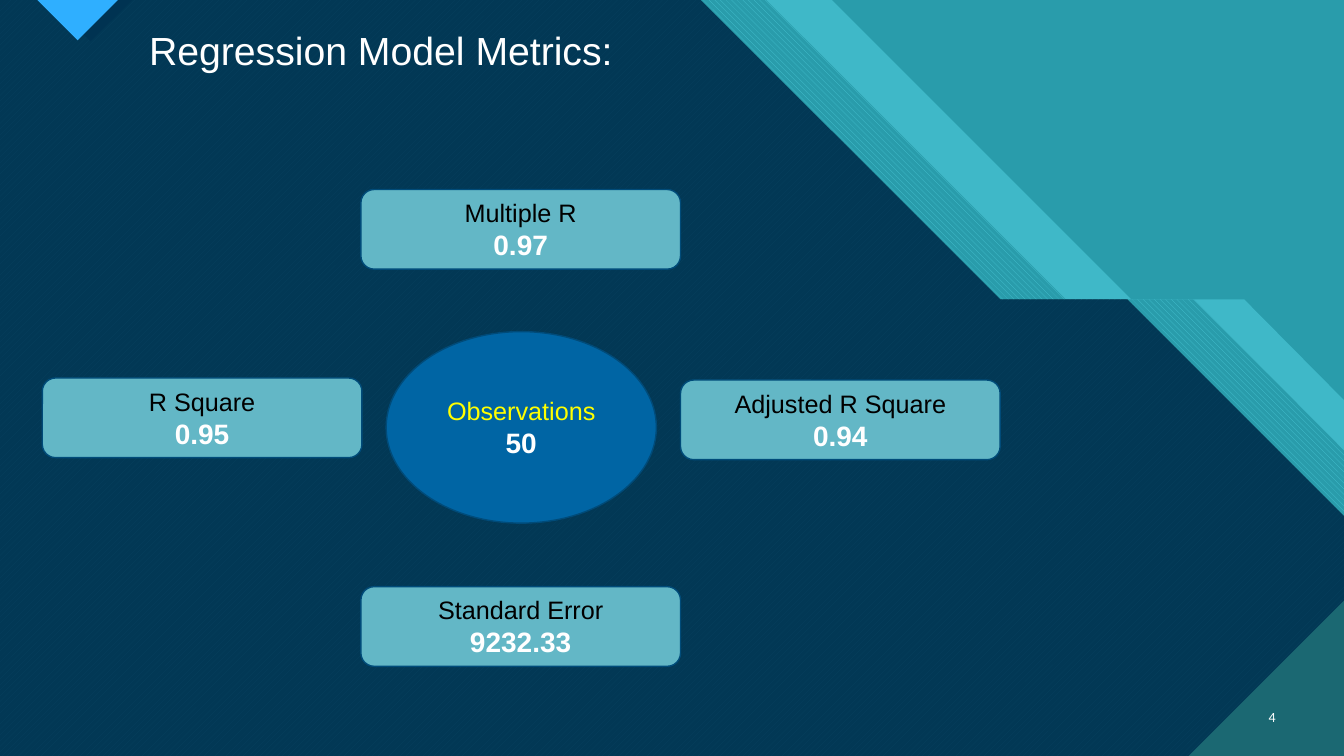
from lxml.etree import SubElement
from pptx import Presentation
from pptx.dml.color import RGBColor
from pptx.enum.dml import MSO_PATTERN_TYPE
from pptx.enum.shapes import MSO_SHAPE
from pptx.enum.text import MSO_ANCHOR, PP_ALIGN
from pptx.oxml.ns import qn
from pptx.util import Inches, Pt

WIDTH, HEIGHT = 13.33, 7.5
STEP = 2.97


def color(value):
    return RGBColor.from_string(value)


class SlideBuilder:
    font = "Arial"
    white = "FFFFFF"
    navy = "003352"
    teal = "299CAB"
    aqua = "47C3D3"
    pine = "1B6872"
    blue = "2FAFFF"
    outline = "004B79"
    card = "63B7C6"

    def __init__(self, page):
        self.page = page

    def background(self, value):
        fill = self.page.background.fill
        fill.solid()
        fill.fore_color.rgb = color(value)

    def solid(self, shape, value, opacity=100):
        shape.fill.solid()
        shape.fill.fore_color.rgb = color(value)
        if opacity < 100:
            tint = shape.element.spPr.find(qn("a:solidFill"))[0]
            SubElement(tint, qn("a:alpha"), val=str(opacity * 1000))

    def pattern(self, shape, kind, front, back):
        shape.fill.patterned()
        shape.fill.pattern = kind
        shape.fill.fore_color.rgb = color(front)
        shape.fill.back_color.rgb = color(back)

    def polygon(self, points):
        start, *others = [(Inches(x), Inches(y)) for x, y in points]
        builder = self.page.shapes.build_freeform(*start)
        builder.add_line_segments(others, close=True)
        shape = builder.convert_to_shape()
        shape.shadow.inherit = False
        shape.line.fill.background()
        return shape

    def band(self, top, notch, edge):
        return self.polygon([
            (0, 0), (top, 0), (top + STEP, STEP), (notch, STEP),
            (WIDTH, edge), (WIDTH, HEIGHT), (0, HEIGHT),
        ])

    def set_lines(self, frame, lines, align):
        for index, (text, formats) in enumerate(lines):
            para = frame.paragraphs[0] if index == 0 else frame.add_paragraph()
            para.alignment = align
            span = para.add_run()
            span.text = text
            values = {"name": self.font, **formats}
            span.font.color.rgb = color(values.pop("color", self.white))
            for name, value in values.items():
                setattr(span.font, name, value)

    def label(self, area, text, align, wrap, anchor, formats):
        box = self.page.shapes.add_textbox(*map(Inches, area))
        box.text_frame.word_wrap = wrap
        box.text_frame.vertical_anchor = anchor
        self.set_lines(box.text_frame, [(text, formats)], align)

    def metric(self, kind, area, fill, name, value, name_color):
        shape = self.page.shapes.add_shape(kind, *map(Inches, area))
        shape.shadow.inherit = False
        self.solid(shape, fill)
        shape.line.color.rgb = color(self.outline)
        shape.line.width = Pt(1)
        shape.text_frame.word_wrap = True
        shape.text_frame.vertical_anchor = MSO_ANCHOR.MIDDLE
        lines = [
            (name, {"size": Pt(18), "color": name_color}),
            (value, {"size": Pt(20), "bold": True}),
        ]
        self.set_lines(shape.text_frame, lines, PP_ALIGN.CENTER)


def main():
    deck = Presentation()
    deck.slide_width, deck.slide_height = Inches(WIDTH), Inches(HEIGHT)
    slide = SlideBuilder(deck.slides.add_slide(deck.slide_layouts[6]))

    slide.background(slide.teal)
    slide.solid(slide.band(8.25, 12.34, 3.97), slide.aqua, 74)
    slide.pattern(slide.band(7.6, 11.84, 4.47),
                  MSO_PATTERN_TYPE.WIDE_DOWNWARD_DIAGONAL, slide.aqua, slide.teal)
    slide.pattern(slide.band(6.95, 11.18, 5.12),
                  MSO_PATTERN_TYPE.WIDE_UPWARD_DIAGONAL, slide.aqua, slide.pine)
    slide.solid(slide.band(6.95, 11.18, 5.12), slide.navy, 90)

    triangles = [
        ([(0.48, 0), (1.31, 0), (0.9, 0.41)], slide.navy),
        ([(0.37, 0), (1.17, 0), (0.77, 0.4)], slide.blue),
        ([(11.79, HEIGHT), (WIDTH, HEIGHT), (WIDTH, 5.96)], slide.pine),
    ]
    for points, fill in triangles:
        slide.solid(slide.polygon(points), fill)

    slide.label((12.31, 6.91, 0.44, 0.4), "4", PP_ALIGN.RIGHT, True,
                MSO_ANCHOR.MIDDLE, {"size": Pt(10), "name": "Calibri"})
    slide.label((1.38, 0.21, 4.86, 0.57), "Regression Model Metrics:", PP_ALIGN.LEFT,
                False, MSO_ANCHOR.TOP, {"size": Pt(28)})

    cards = [
        (3.58, 1.88, "Multiple R", "0.97"),
        (0.42, 3.75, "R Square", "0.95"),
        (6.75, 3.77, "Adjusted R Square", "0.94"),
        (3.58, 5.82, "Standard Error", "9232.33"),
    ]
    for left, top, name, value in cards:
        slide.metric(MSO_SHAPE.ROUNDED_RECTANGLE, (left, top, 3.17, 0.79),
                     slide.card, name, value, "000000")
    slide.metric(MSO_SHAPE.OVAL, (3.83, 3.29, 2.68, 1.9),
                 "0065A4", "Observations", "50", "FFFF00")

    deck.save("out.pptx")


if __name__ == "__main__":
    main()
